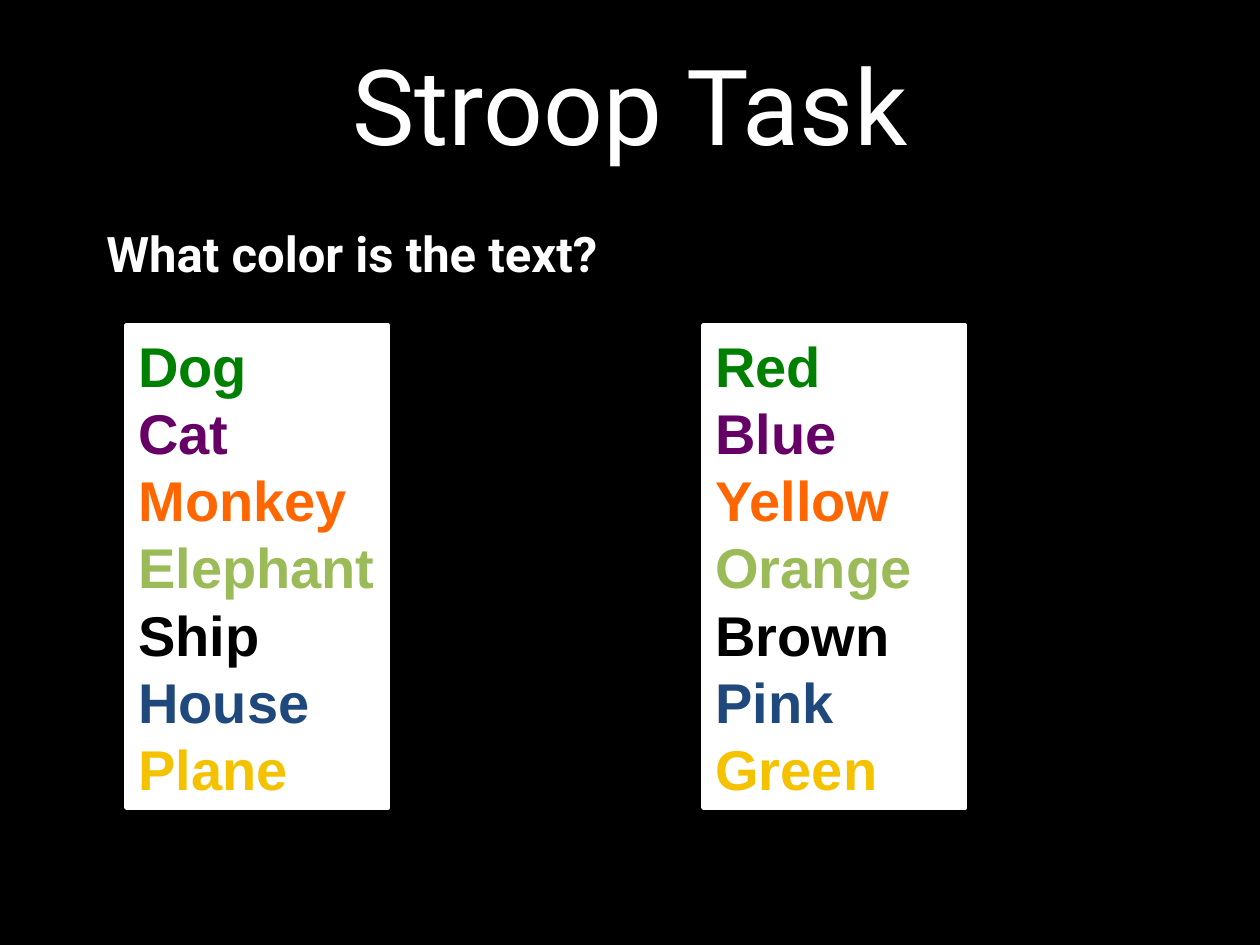
"""Build the Stroop task slide with two lists of coloured words."""
from pptx import Presentation
from pptx.dml.color import RGBColor
from pptx.enum.shapes import MSO_SHAPE
from pptx.enum.text import MSO_ANCHOR, PP_ALIGN
from pptx.util import Emu, Pt

BLACK = RGBColor(0x00, 0x00, 0x00)
WHITE = RGBColor(0xFF, 0xFF, 0xFF)
GREEN = RGBColor(0x00, 0x80, 0x00)
PURPLE = RGBColor(0x66, 0x00, 0x66)
ORANGE = RGBColor(0xFF, 0x66, 0x00)
OLIVE = RGBColor(0x9B, 0xBB, 0x59)
NAVY = RGBColor(0x1F, 0x49, 0x7D)
GOLD = RGBColor(0xF5, 0xC2, 0x01)
INKS = [GREEN, PURPLE, ORANGE, OLIVE, BLACK, NAVY, GOLD]


def px(*sizes):
    return [Emu(round(size * 914400 / 126)) for size in sizes]


def write(shape, text, font, size, inks, bold=False,
          align=PP_ALIGN.LEFT, anchor=MSO_ANCHOR.MIDDLE):
    frame = shape.text_frame
    frame.word_wrap = True
    frame.vertical_anchor = anchor
    frame.text = text
    for line, ink in zip(frame.paragraphs, inks):
        line.alignment = align
        style = line.runs[0].font
        style.name = font
        style.size = Pt(size)
        style.bold = bold
        style.color.rgb = ink


deck = Presentation()
deck.slide_width, deck.slide_height = px(1260, 945)
slide = deck.slides.add_slide(deck.slide_layouts[6])
slide.background.fill.solid()
slide.background.fill.fore_color.rgb = BLACK

title = slide.shapes.add_textbox(*px(63, 9, 1134, 189))
write(title, "Stroop Task", font="Roboto", size=60, inks=[WHITE],
      align=PP_ALIGN.CENTER)

prompt = slide.shapes.add_textbox(*px(94, 217, 599, 80))
write(prompt, "What color is the text?", font="Roboto", size=28,
      inks=[WHITE], bold=True, anchor=MSO_ANCHOR.TOP)

lists = [
    (126, ["Dog", "Cat", "Monkey", "Elephant", "Ship", "House", "Plane"]),
    (703, ["Red", "Blue", "Yellow", "Orange", "Brown", "Pink", "Green"]),
]
for left, words in lists:
    card = slide.shapes.add_shape(MSO_SHAPE.RECTANGLE, *px(left, 325, 262, 483))
    card.shadow.inherit = False
    card.fill.solid()
    card.fill.fore_color.rgb = WHITE
    card.line.color.rgb = WHITE
    card.line.width = Pt(2)
    write(card, "\n".join(words), font="Arial", size=32, inks=INKS, bold=True)

deck.save("out.pptx")
